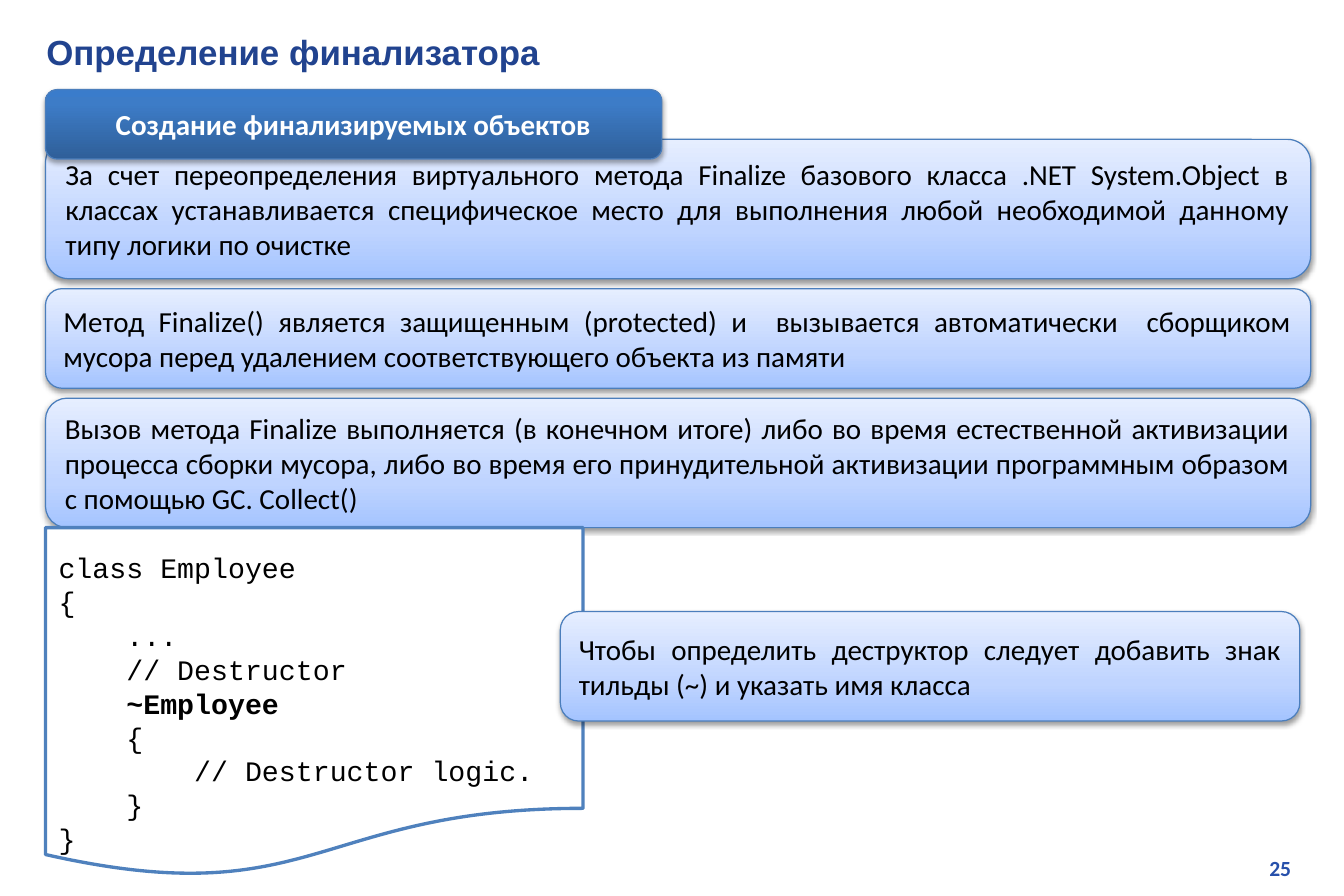
import copy

import lxml.etree
import pptx
import pptx.dml.color
import pptx.enum.shapes
import pptx.enum.text
import pptx.oxml.ns
import pptx.util

Pt = pptx.util.Pt
qn = pptx.oxml.ns.qn
SHAPE = pptx.enum.shapes.MSO_SHAPE
ALIGN = pptx.enum.text.PP_ALIGN
ANCHOR = pptx.enum.text.MSO_ANCHOR

COLORS = {
    "title": "21438F", "number": "2750AB", "text": "000000", "white": "FFFFFF",
    "edge": "4B7EBC", "frame": "4F81BD", "shadow": "000000",
}
PALE = [(0, "A4C4FF"), (35, "BFD4FF"), (100, "E6EEFF")]
DARK = [(0, "2F5F99"), (80, "3D7CC7"), (100, "3A7CCB")]

LEFT, WIDTH, GAP = 27.4, 762.5, 6
NOTES = [
    (84, "За счет переопределения виртуального метода Finalize базового класса "
         ".NET System.Object в классах устанавливается специфическое место для "
         "выполнения любой необходимой данному типу логики по очистке"),
    (60, "Метод Finalize() является защищенным (protected) и  вызывается "
         "автоматически  сборщиком мусора перед удалением соответствующего "
         "объекта из памяти"),
    (78, "Вызов метода Finalize выполняется (в конечном итоге) либо во время "
         "естественной активизации процесса сборки мусора, либо во время его "
         "принудительной активизации программным образом с помощью GC. Collect()"),
]
TILDE = "Чтобы определить деструктор следует добавить знак тильды (~) и указать имя класса"
CODE = """class Employee
{
    ...
    // Destructor
    ~Employee
    {
        // Destructor logic.
    }
}"""


def tint(name):
    return pptx.dml.color.RGBColor.from_string(COLORS.get(name, name))


def write(shape, text, font="Calibri", size=17.5, color="text", bold=False,
          align=ALIGN.LEFT, anchor=ANCHOR.TOP, top=4, pitch=None, strong=None):
    """Fill a shape with one paragraph per line; the line equal to strong is bold."""
    frame = shape.text_frame
    frame.word_wrap = True
    frame.vertical_anchor = anchor
    frame.margin_left = frame.margin_right = Pt(7.9)
    frame.margin_top, frame.margin_bottom = Pt(top), Pt(4)
    for num, line in enumerate(text.split("\n")):
        para = frame.paragraphs[0] if num == 0 else frame.add_paragraph()
        para.alignment = align
        if pitch:
            para.line_spacing = Pt(pitch)
        run = para.add_run()
        run.text = line
        run.font.name = font
        run.font.size = Pt(size)
        run.font.bold = bold or line.strip() == strong
        run.font.color.rgb = tint(color)


def label(slide, box, text, **style):
    shape = slide.shapes.add_textbox(*map(Pt, box))
    write(shape, text, **style)


def block(slide, kind, box, edge, width):
    shape = slide.shapes.add_shape(kind, *map(Pt, box))
    shape.shadow.inherit = False
    shape.line.color.rgb = tint(edge)
    shape.line.width = Pt(width)
    return shape


def blend(shape, stops):
    """Apply a gradient that runs from bottom to top."""
    shape.fill.gradient()
    shape.fill.gradient_angle = 90
    items = shape._element.spPr.find(qn("a:gradFill")).find(qn("a:gsLst"))
    items.append(copy.deepcopy(items[0]))
    for item, (place, color) in zip(items, stops):
        item.set("pos", str(place * 1000))
        item.remove(item[0])
        lxml.etree.SubElement(item, qn("a:srgbClr"), val=color)


def shade(shape, alpha, far):
    """Cast a soft shadow straight down."""
    effect = shape._element.spPr.find(qn("a:effectLst"))
    outer = lxml.etree.SubElement(
        effect, qn("a:outerShdw"), blurRad=str(Pt(3.1)), dist=str(Pt(far)),
        dir="5400000", rotWithShape="0")
    color = lxml.etree.SubElement(outer, qn("a:srgbClr"), val=COLORS["shadow"])
    lxml.etree.SubElement(color, qn("a:alpha"), val=str(alpha * 1000))


def panel(slide, box, text, stops=PALE, alpha=38, far=1.6,
          align=ALIGN.JUSTIFY, **style):
    shape = block(slide, SHAPE.ROUNDED_RECTANGLE, box, "edge", 0.75)
    blend(shape, stops)
    shade(shape, alpha, far)
    write(shape, text, align=align, anchor=ANCHOR.MIDDLE, **style)


def listing(slide, box, code):
    shape = block(slide, SHAPE.FLOWCHART_DOCUMENT, box, "frame", 2)
    shape.fill.solid()
    shape.fill.fore_color.rgb = tint("white")
    write(shape, code, font="Courier New", size=17, top=14, pitch=20.4,
          strong="~Employee")


def main():
    deck = pptx.Presentation()
    deck.slide_width, deck.slide_height = Pt(810), Pt(540)
    slide = deck.slides.add_slide(deck.slide_layouts[6])

    label(slide, (615, 511, 171, 24.5), "25", size=13, color="number",
          bold=True, align=ALIGN.RIGHT)
    label(slide, (20, 14.4, 773, 28.8), "Определение финализатора",
          font="Arial", size=21, color="title", bold=True)

    top = 84
    for high, text in NOTES:
        panel(slide, (LEFT, top, WIDTH, high), text)
        top += high + GAP
    panel(slide, (LEFT, 54, 371.5, 41.8), "Создание финализируемых объектов",
          stops=DARK, alpha=35, far=1.8, align=ALIGN.CENTER,
          color="white", bold=True)

    listing(slide, (LEFT, top - GAP, 324, 211), CODE)
    panel(slide, (337.7, 368.6, 445.7, 66), TILDE)
    deck.save("out.pptx")


if __name__ == "__main__":
    main()
